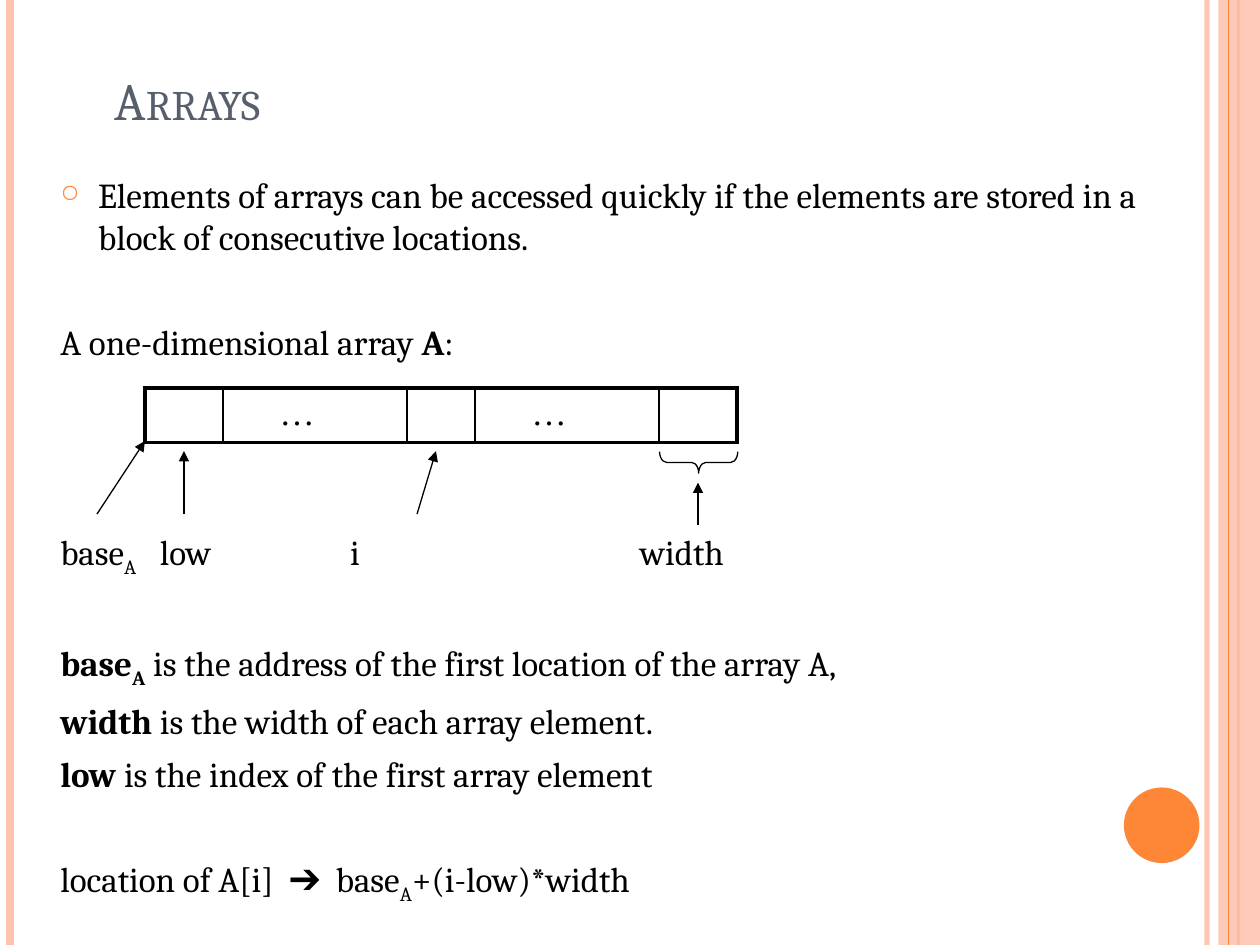
from dataclasses import dataclass, field
from typing import NamedTuple

from lxml import etree
from pptx import Presentation
from pptx.dml.color import RGBColor
from pptx.enum.shapes import MSO_CONNECTOR, MSO_SHAPE
from pptx.enum.text import MSO_ANCHOR
from pptx.oxml.ns import qn
from pptx.util import Inches, Pt

STRAIGHT = MSO_CONNECTOR.STRAIGHT
RECTANGLE, OVAL, BRACE = MSO_SHAPE.RECTANGLE, MSO_SHAPE.OVAL, MSO_SHAPE.LEFT_BRACE
TOP, BOTTOM = MSO_ANCHOR.TOP, MSO_ANCHOR.BOTTOM


@dataclass(frozen=True)
class Theme:
    accent: str = "FE8637"
    pale: str = "FEC3AE"
    title: str = "575F6D"
    ink: str = "000000"
    font: str = "Cambria"
    cell_font: str = "Times New Roman"
    title_size: float = 30
    text_size: float = 20
    space_before: float = 6
    line_pitch: float = 30
    thin: float = 0.75
    inner_border: float = 1
    outer_border: float = 2.25


THEME = Theme()


class Line(NamedTuple):
    start: tuple
    end: tuple
    color: str = THEME.ink
    width: float = THEME.thin
    arrow: bool = False
    opacity: int = 100


class Run(NamedTuple):
    text: str
    bold: bool = False
    subscript: bool = False


@dataclass
class Entry:
    runs: list
    skipped_lines: int = 0
    bullet: str = ""
    tabs: list = field(default_factory=list)


def rail(x: float, color: str, width: float, opacity: int = 100) -> Line:
    return Line((x, 0), (x, 7.5), color, width, False, opacity)


ENTRIES = [
    Entry([Run("Elements of arrays can be accessed quickly if the elements are "
               "stored in a block of consecutive locations.")], bullet="○"),
    Entry([Run("A one-dimensional array "), Run("A", True), Run(":")], 1),
    Entry([Run("base"), Run("A", subscript=True), Run("\tlow\ti\twidth")], 3,
          tabs=[0.79, 2.3, 4.6]),
    Entry([Run("base", True), Run("A", True, True),
           Run(" is the address of the first location of the array A,")], 1),
    Entry([Run("width", True), Run(" is the width of each array element.")]),
    Entry([Run("low", True), Run(" is the index of the first array element")]),
    Entry([Run("location of A[i]  ➔  base"), Run("A", subscript=True),
           Run("+(i-low)*width")], 1),
]
BACK_RAILS = [rail(9.58, THEME.pale, 3, 93), rail(0.08, THEME.pale, 4.5),
              rail(9.83, THEME.accent, 1.5)]
FRONT_RAIL = rail(9.75, THEME.accent, 0.75)
POINTERS = [
    Line((0.77, 4.08), (1.15, 3.5), arrow=True),
    Line((1.46, 4.08), (1.46, 3.58), arrow=True),
    Line((3.31, 4.08), (3.46, 3.58), arrow=True),
    Line((5.54, 4.17), (5.54, 3.83), arrow=True),
]
COLUMN_WIDTHS = [0.62, 1.46, 0.54, 1.46, 0.62]
CELL_TEXTS = ["", "…", "", "…", ""]


def rgb(color: str) -> RGBColor:
    return RGBColor.from_string(color)


def set_opacity(element, percent: int) -> None:
    for color in element.iter(qn("a:srgbClr")):
        etree.SubElement(color, qn("a:alpha"), val=str(percent * 1000))


def add_line(slide, line: Line) -> None:
    points = [Inches(value) for value in (*line.start, *line.end)]
    connector = slide.shapes.add_connector(STRAIGHT, *points)
    connector.line.color.rgb = rgb(line.color)
    connector.line.width = Pt(line.width)
    properties = connector._element.spPr
    if line.opacity < 100:
        set_opacity(properties, line.opacity)
    if line.arrow:
        etree.SubElement(properties.find(qn("a:ln")), qn("a:tailEnd"), type="triangle")
    etree.SubElement(properties, qn("a:effectLst"))


def add_shape(slide, kind, box: tuple, fill: str = "", outline: str = ""):
    shape = slide.shapes.add_shape(kind, *map(Inches, box))
    shape.shadow.inherit = False
    if fill:
        shape.fill.solid()
        shape.fill.fore_color.rgb = rgb(fill)
    else:
        shape.fill.background()
    if outline:
        shape.line.color.rgb = rgb(outline)
        shape.line.width = Pt(THEME.thin)
    else:
        shape.line.fill.background()
    return shape


def add_run(paragraph, text: str, color: str = THEME.ink, **formats):
    run = paragraph.add_run()
    run.text = text
    values = {"name": THEME.font, "size": Pt(THEME.text_size), **formats}
    for name, value in values.items():
        setattr(run.font, name, value)
    run.font.color.rgb = rgb(color)
    return run._r.get_or_add_rPr()


def add_text_frame(slide, box: tuple, anchor):
    frame = slide.shapes.add_textbox(*map(Inches, box)).text_frame
    frame.word_wrap = True
    frame.vertical_anchor = anchor
    return frame


def add_bullet(properties, character: str) -> None:
    properties.set("marL", str(Inches(0.3)))
    properties.set("indent", str(Inches(-0.3)))
    color = etree.SubElement(properties, qn("a:buClr"))
    etree.SubElement(color, qn("a:srgbClr"), val=THEME.accent)
    etree.SubElement(properties, qn("a:buSzPct"), val="70000")
    etree.SubElement(properties, qn("a:buChar"), char=character)


def add_entry(paragraph, entry: Entry) -> None:
    gap = THEME.space_before + THEME.line_pitch * entry.skipped_lines
    paragraph.space_before = Pt(gap)
    properties = paragraph._p.get_or_add_pPr()
    if entry.bullet:
        add_bullet(properties, entry.bullet)
    if entry.tabs:
        tab_list = etree.SubElement(properties, qn("a:tabLst"))
        for position in entry.tabs:
            etree.SubElement(tab_list, qn("a:tab"), pos=str(Inches(position)), algn="l")
    for run in entry.runs:
        run_properties = add_run(paragraph, run.text, bold=run.bold)
        if run.subscript:
            run_properties.set("baseline", "-25000")


def add_border(cell, side: str, width: float) -> None:
    border = etree.SubElement(cell._tc.get_or_add_tcPr(), qn(f"a:ln{side}"),
                              w=str(Pt(width)))
    fill = etree.SubElement(border, qn("a:solidFill"))
    etree.SubElement(fill, qn("a:srgbClr"), val=THEME.ink)


def add_array_table(slide) -> None:
    last = len(COLUMN_WIDTHS) - 1
    box = (1.15, 3.08, sum(COLUMN_WIDTHS), 0.42)
    table = slide.shapes.add_table(1, last + 1, *map(Inches, box)).table
    table.first_row = table.horz_banding = False
    for index, (width, text) in enumerate(zip(COLUMN_WIDTHS, CELL_TEXTS)):
        table.columns[index].width = Inches(width)
        cell = table.cell(0, index)
        borders = {"L": index == 0, "R": index == last, "T": True, "B": True}
        for side, outer in borders.items():
            add_border(cell, side, THEME.outer_border if outer else THEME.inner_border)
        cell.fill.background()
        if text:
            cell.margin_left = Inches(0.45)
            add_run(cell.text_frame.paragraphs[0], text, name=THEME.cell_font)


def main() -> None:
    presentation = Presentation()
    presentation.slide_width, presentation.slide_height = Inches(10), Inches(7.5)
    slide = presentation.slides.add_slide(presentation.slide_layouts[6])
    for line in BACK_RAILS:
        add_line(slide, line)
    band = add_shape(slide, RECTANGLE, (9.67, 0, 0.33, 7.5), THEME.pale)
    set_opacity(band._element.spPr, 87)
    add_line(slide, FRONT_RAIL)
    add_shape(slide, OVAL, (8.92, 6.25, 0.6, 0.6), THEME.accent)

    title = add_text_frame(slide, (0.81, 0.39, 8.41, 0.7), BOTTOM)
    title_properties = add_run(title.paragraphs[0], "Arrays", THEME.title,
                               size=Pt(THEME.title_size))
    title_properties.set("cap", "small")
    body = add_text_frame(slide, (0.38, 1.33, 9.08, 5.75), TOP)
    for index, entry in enumerate(ENTRIES):
        add_entry(body.add_paragraph() if index else body.paragraphs[0], entry)

    add_array_table(slide)
    for pointer in POINTERS:
        add_line(slide, pointer)
    brace = add_shape(slide, BRACE, (5.46, 3.36, 0.17, 0.62), outline=THEME.ink)
    brace.rotation = 270
    brace.adjustments[0] = 0.33
    presentation.save("out.pptx")


if __name__ == "__main__":
    main()
